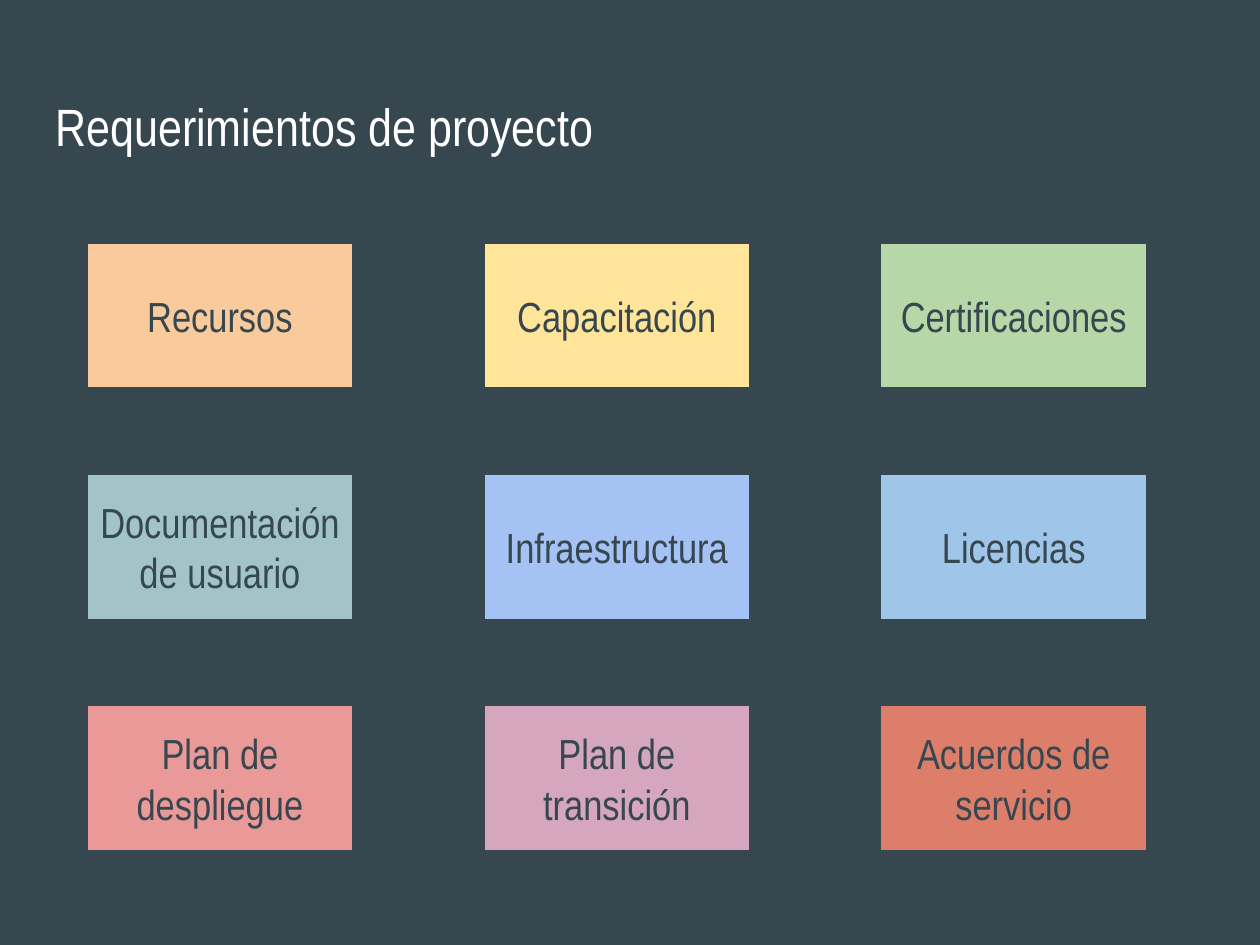
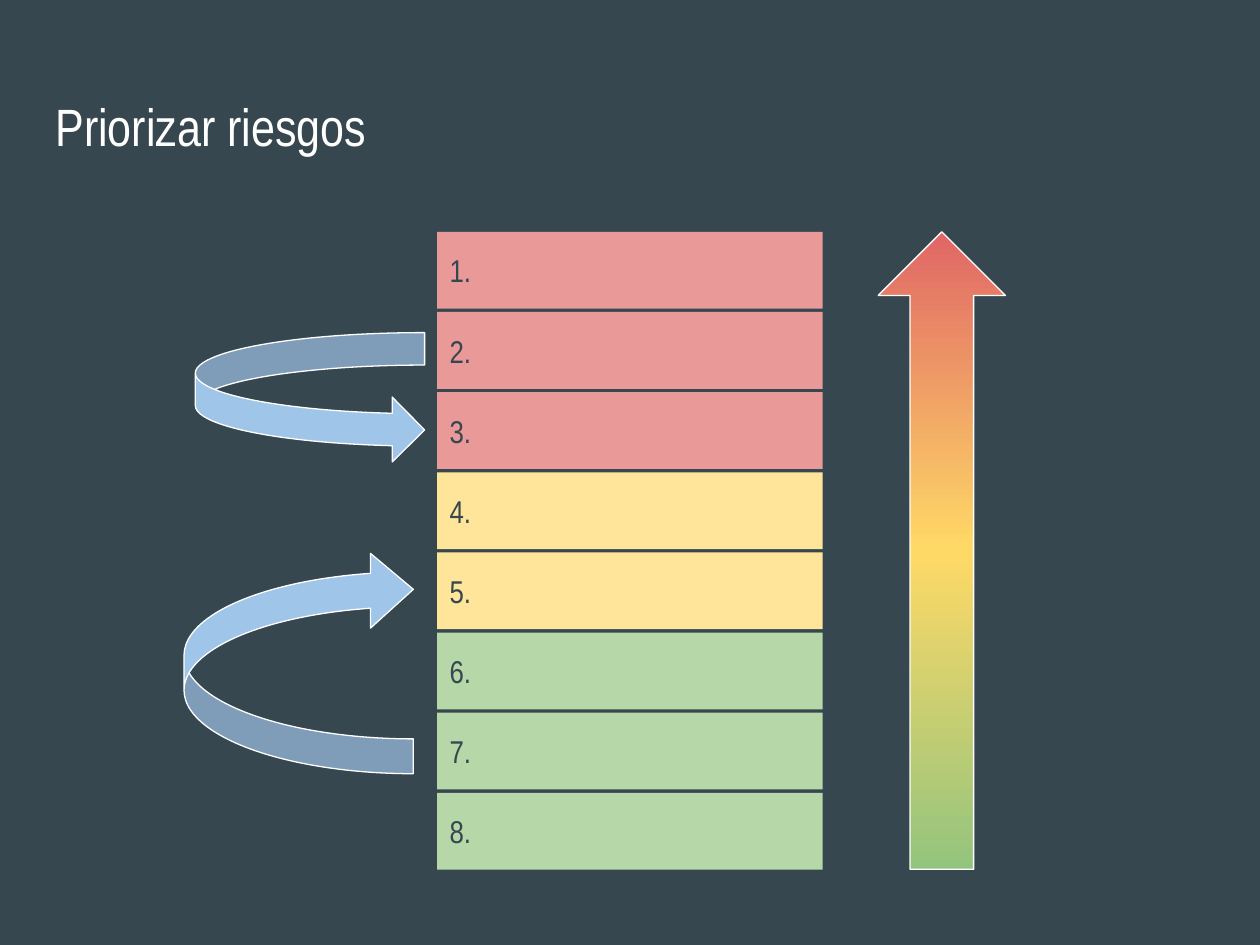
from copy import deepcopy

from pptx import Presentation
from pptx.dml.color import RGBColor
from pptx.enum.shapes import MSO_SHAPE
from pptx.enum.text import MSO_ANCHOR, MSO_AUTO_SIZE, PP_ALIGN
from pptx.oxml.ns import qn
from pptx.util import Inches, Pt

FONT = "Arial Narrow"
SLATE = RGBColor(0x37, 0x47, 0x4F)
WHITE = RGBColor(0xFF, 0xFF, 0xFF)
ORANGE = RGBColor(0xF9, 0xCB, 0x9C)
YELLOW = RGBColor(0xFF, 0xE5, 0x99)
GREEN = RGBColor(0xB6, 0xD7, 0xA8)
TEAL = RGBColor(0xA2, 0xC4, 0xC9)
PERIWINKLE = RGBColor(0xA4, 0xC2, 0xF4)
SKY = RGBColor(0x9F, 0xC5, 0xE8)
PINK = RGBColor(0xEA, 0x99, 0x99)
MAUVE = RGBColor(0xD5, 0xA6, 0xBD)
BRICK = RGBColor(0xDD, 0x7E, 0x6B)
HIGH_RISK = RGBColor(0xE0, 0x66, 0x66)
MEDIUM_RISK = RGBColor(0xFF, 0xD9, 0x66)
LOW_RISK = RGBColor(0x93, 0xC4, 0x7D)

REQUIREMENTS = [
    ("Recursos", ORANGE), ("Capacitación", YELLOW), ("Certificaciones", GREEN),
    ("Documentación de usuario", TEAL), ("Infraestructura", PERIWINKLE), ("Licencias", SKY),
    ("Plan de despliegue", PINK), ("Plan de transición", MAUVE), ("Acuerdos de servicio", BRICK),
]
RISK_COLORS = [PINK] * 3 + [YELLOW] * 2 + [GREEN] * 3


def write_text(shape, text, size, color, alignment, anchor):
    frame = shape.text_frame
    frame.word_wrap = True
    frame.auto_size = MSO_AUTO_SIZE.NONE
    frame.vertical_anchor = anchor
    frame.margin_left = frame.margin_right = Inches(0.1)
    frame.margin_top = frame.margin_bottom = Inches(0.1)
    frame.text = text
    paragraph = frame.paragraphs[0]
    paragraph.alignment = alignment
    paragraph.font.name = FONT
    paragraph.font.size = Pt(size)
    paragraph.font.color.rgb = color


def add_titled_slide(presentation, title):
    slide = presentation.slides.add_slide(presentation.slide_layouts[5])
    slide.background.fill.solid()
    slide.background.fill.fore_color.rgb = SLATE
    shape = slide.shapes.title
    shape.left, shape.top = Inches(0.34), Inches(0.65)
    shape.width, shape.height = Inches(9.32), Inches(0.83)
    write_text(shape, title, 30, WHITE, PP_ALIGN.LEFT, MSO_ANCHOR.TOP)
    return slide


def add_preset(slide, preset, left, top, width, height, fill, line=None, adjustments=()):
    shape = slide.shapes.add_shape(
        preset, Inches(left), Inches(top), Inches(width), Inches(height))
    shape.shadow.inherit = False
    shape.fill.solid()
    shape.fill.fore_color.rgb = fill
    if line is None:
        shape.line.fill.background()
    else:
        shape.line.color.rgb = line
        shape.line.width = Pt(0.75)
    for index, value in enumerate(adjustments):
        shape.adjustments[index] = value
    return shape


def set_vertical_gradient(shape, colors):
    """Spread the colours evenly from top to bottom."""
    shape.fill.gradient()
    shape.fill.gradient_angle = 270
    stop_list = shape._element.spPr.find(qn("a:gradFill")).find(qn("a:gsLst"))
    while len(stop_list) < len(colors):
        stop_list.append(deepcopy(stop_list[0]))
    for index, (stop, color) in enumerate(zip(shape.fill.gradient_stops, colors)):
        stop.position = index / (len(colors) - 1)
        stop.color.rgb = color


def build_requirements(presentation):
    slide = add_titled_slide(presentation, "Requerimientos de proyecto")
    # Three by three grid of cards
    for index, (text, color) in enumerate(REQUIREMENTS):
        row, column = divmod(index, 3)
        card = add_preset(slide, MSO_SHAPE.RECTANGLE, 0.69 + 3.15 * column,
                          1.93 + 1.835 * row, 2.11, 1.15, color, SLATE)
        write_text(card, text, 24, SLATE, PP_ALIGN.CENTER, MSO_ANCHOR.MIDDLE)


def build_risks(presentation):
    slide = add_titled_slide(presentation, "Priorizar riesgos")
    # Ranked list
    for index, color in enumerate(RISK_COLORS):
        bar = add_preset(slide, MSO_SHAPE.RECTANGLE, 3.47, 1.84 + 0.636 * index,
                         3.06, 0.61, color)
        write_text(bar, f"{index + 1}.", 18, SLATE, PP_ALIGN.LEFT, MSO_ANCHOR.MIDDLE)

    # Arrows that move a risk down or up
    add_preset(slide, MSO_SHAPE.CURVED_RIGHT_ARROW, 1.55, 2.64, 1.82, 1.03,
               SKY, WHITE, (0.25, 0.5, 0.25))
    upward = add_preset(slide, MSO_SHAPE.CURVED_RIGHT_ARROW, 1.46, 4.38, 1.82, 1.76,
                        SKY, WHITE, (0.157, 0.337, 0.193))
    upward.rotation = 180
    upward._element.spPr.find(qn("a:xfrm")).set("flipH", "1")

    # Severity scale
    scale = add_preset(slide, MSO_SHAPE.UP_ARROW, 6.97, 1.84, 1.01, 5.06,
                       HIGH_RISK, WHITE, (0.5, 0.5))
    set_vertical_gradient(scale, [HIGH_RISK, MEDIUM_RISK, LOW_RISK])


def main():
    presentation = Presentation()
    presentation.slide_width = Inches(10)
    presentation.slide_height = Inches(7.5)
    build_requirements(presentation)
    build_risks(presentation)
    presentation.save("out.pptx")


main()
